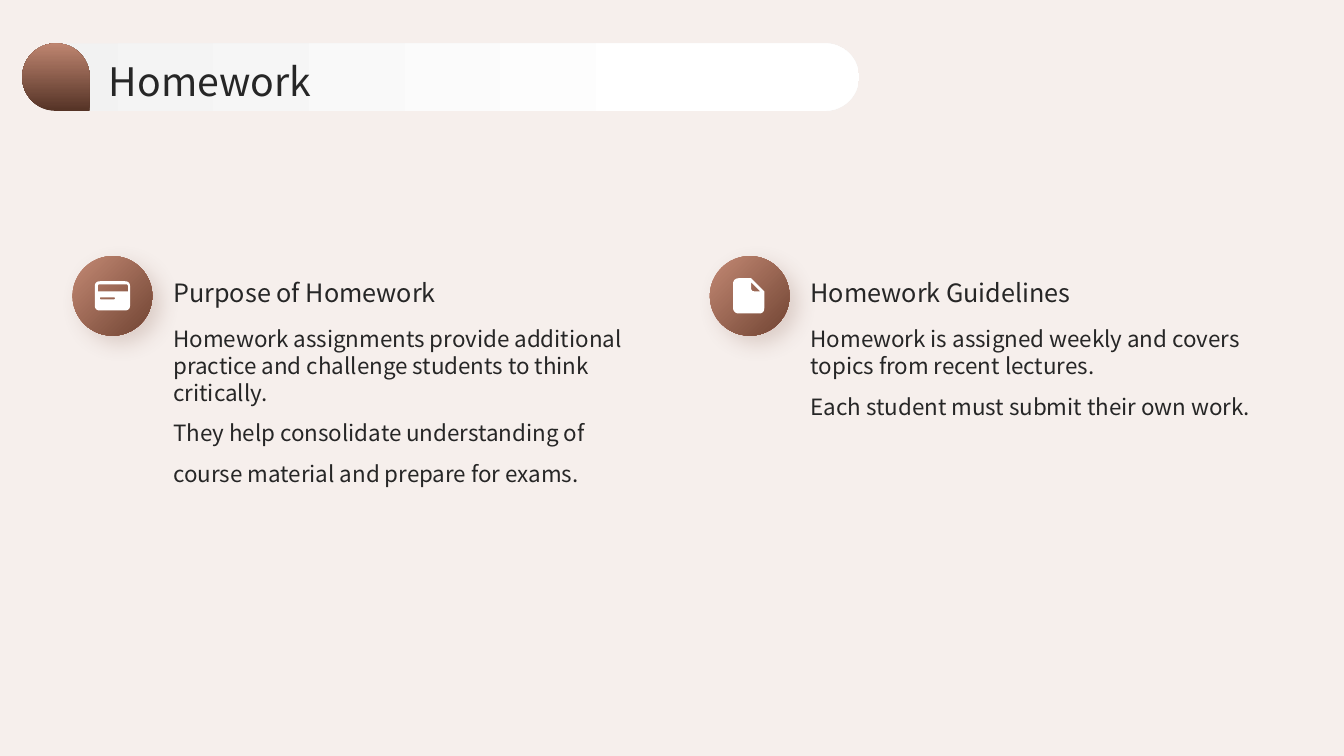
import pptx
import pptx.util
import pptx.dml.color
import pptx.enum.shapes
import pptx.enum.text
import pptx.oxml
import pptx.oxml.ns
from pptx.util import Inches

RGB = pptx.dml.color.RGBColor
SHAPE = pptx.enum.shapes.MSO_SHAPE
ANCHOR = pptx.enum.text.MSO_ANCHOR

FONT = "Noto Sans CJK SC"
INK = RGB(0x26, 0x26, 0x26)
WHITE = RGB(0xFF, 0xFF, 0xFF)
PALE_GREY = RGB(0xF2, 0xF2, 0xF2)
BLUSH = RGB(0xE9, 0xD6, 0xCF)
COPPER = RGB(0xBE, 0x85, 0x70)
BROWN = RGB(0x71, 0x44, 0x33)
DARK_BROWN = RGB(0x55, 0x33, 0x26)

TITLE = "Homework"

# Each icon contour is a list of (x, y, corner radius) in inches.
CARD_ICON = [
    [(0.94, 2.79, 0.05), (1.29, 2.79, 0.05), (1.29, 3.08, 0.05), (0.94, 3.08, 0.05)],
    [(0.97, 2.82, 0.02), (1.27, 2.82, 0.02), (1.27, 2.89, 0), (0.97, 2.89, 0)],
    [(0.99, 2.95, 0.01), (1.14, 2.95, 0.01), (1.14, 2.97, 0.01), (0.99, 2.97, 0.01)],
]
PAGE_ICON = [
    [(7.27, 2.76, 0.06), (7.45, 2.76, 0), (7.58, 2.89, 0), (7.58, 3.11, 0.05), (7.27, 3.11, 0.06)],
    [(7.45, 2.8, 0), (7.54, 2.89, 0), (7.45, 2.89, 0.03)],
]

TOPICS = [
    ("Purpose of Homework",
     ["Homework assignments provide additional practice and challenge students to think critically.",
      "They help consolidate understanding of course material and prepare for exams."],
     CARD_ICON),
    ("Homework Guidelines",
     ["Homework is assigned weekly and covers topics from recent lectures.",
      "Each student must submit their own work."],
     PAGE_ICON),
]
FIRST_LEFT, COLUMN_STEP = 0.72, 6.32
BODY_SPACING = [1.0, 1.5]

prs = pptx.Presentation()
prs.slide_width, prs.slide_height = Inches(13.33), Inches(7.5)
s = prs.slides.add_slide(prs.slide_layouts[6])


def add_plain_shape(kind, left, top, width, height):
    sp = s.shapes.add_shape(kind, Inches(left), Inches(top), Inches(width), Inches(height))
    sp.shadow.inherit = False
    sp.line.fill.background()
    return sp


def fill_gradient(sp, stops, angle):
    sp.fill.gradient()
    sp.fill.gradient_angle = -angle % 360
    for stop, (position, color) in zip(sp.fill.gradient_stops, stops):
        stop.position = position
        stop.color.rgb = color


def add_glow_shadow(sp):
    effects = sp._element.spPr.find(pptx.oxml.ns.qn("a:effectLst"))
    effects.append(pptx.oxml.parse_xml(
        f'<a:outerShdw {pptx.oxml.ns.nsdecls("a")} blurRad="{pptx.util.Pt(15)}" '
        f'dist="{pptx.util.Pt(8)}" dir="{45 * 60000}" algn="ctr" rotWithShape="0">'
        f'<a:srgbClr val="{BROWN}"><a:alpha val="20000"/></a:srgbClr></a:outerShdw>'))


def add_text(left, top, width, height, lines, size, spacings, anchor):
    tf = s.shapes.add_textbox(Inches(left), Inches(top), Inches(width), Inches(height)).text_frame
    tf.word_wrap = True
    tf.vertical_anchor = anchor
    tf.margin_left = tf.margin_right = tf.margin_top = tf.margin_bottom = 0
    for i, (line, spacing) in enumerate(zip(lines, spacings)):
        p = tf.add_paragraph() if i else tf.paragraphs[0]
        p.line_spacing = spacing
        r = p.add_run()
        r.text = line
        r.font.size = pptx.util.Pt(size)
        r.font.name = FONT
        r.font.color.rgb = INK
        fonts = r.font._element
        for tag in ("a:ea", "a:cs"):
            pptx.oxml.ns.qn(tag)
            fonts.append(pptx.oxml.parse_xml(
                f'<{tag} {pptx.oxml.ns.nsdecls("a")} typeface="{FONT}"/>'))


def toward(start, end, distance):
    dx, dy = end[0] - start[0], end[1] - start[1]
    length = (dx * dx + dy * dy) ** 0.5
    return start[0] + dx * distance / length, start[1] + dy * distance / length


def round_corners(corners, steps=6):
    points = []
    for i, corner in enumerate(corners):
        x, y, radius = corner
        if not radius:
            points.append((Inches(x), Inches(y)))
            continue
        a = toward(corner, corners[i - 1], radius)
        b = toward(corner, corners[(i + 1) % len(corners)], radius)
        for k in range(steps + 1):
            t = k / steps
            u, v, w = (1 - t) ** 2, 0.9 * 2 * t * (1 - t), t ** 2
            total = u + v + w
            points.append(tuple(Inches((u * m + v * c + w * n) / total)
                                for m, c, n in zip(a, (x, y), b)))
    return points


def add_icon(contours):
    outline, *holes = [round_corners(c) for c in contours]
    builder = s.shapes.build_freeform(*outline[0])
    builder.add_line_segments(outline[1:])
    for hole in holes:
        builder.move_to(*hole[0])
        builder.add_line_segments(hole[1:])
    sp = builder.convert_to_shape()
    sp.shadow.inherit = False
    sp.line.fill.background()
    sp.fill.solid()
    sp.fill.fore_color.rgb = WHITE


backdrop = add_plain_shape(SHAPE.RECTANGLE, 0, 0, 13.33, 7.5)
backdrop.fill.solid()
backdrop.fill.fore_color.rgb = BLUSH
tint = backdrop._element.spPr.find(".//" + pptx.oxml.ns.qn("a:srgbClr"))
tint.append(pptx.oxml.parse_xml(f'<a:alpha {pptx.oxml.ns.nsdecls("a")} val="39000"/>'))

for i, (heading, body, icon) in enumerate(TOPICS):
    left = FIRST_LEFT + i * COLUMN_STEP
    disc = add_plain_shape(SHAPE.OVAL, left, 2.54, 0.79, 0.79)
    fill_gradient(disc, [(0.06, COPPER), (1, BROWN)], 45)
    add_glow_shadow(disc)
    add_text(left + 1, 3.23, 4.57, 2.23, body, 16, BODY_SPACING, ANCHOR.TOP)
    add_text(left + 1, 2.5, 4.57, 0.71, [heading], 18, [1.3], ANCHOR.MIDDLE)
    add_icon(icon)

banner = add_plain_shape(SHAPE.ROUNDED_RECTANGLE, 0.22, 0.43, 8.3, 0.67)
banner.adjustments[0] = 0.5
fill_gradient(banner, [(0, PALE_GREY), (0.8, WHITE)], 0)

drop = add_plain_shape(SHAPE.TEAR, 0.22, 0.43, 0.67, 0.67)
fill_gradient(drop, [(0, DARK_BROWN), (1, COPPER)], 90)
drop.rotation = 180
drop._element.spPr.xfrm.set("flipH", "1")

add_text(1.08, 0.52, 11.88, 0.51, [TITLE], 28, [1.1], ANCHOR.MIDDLE)

prs.save("out.pptx")
